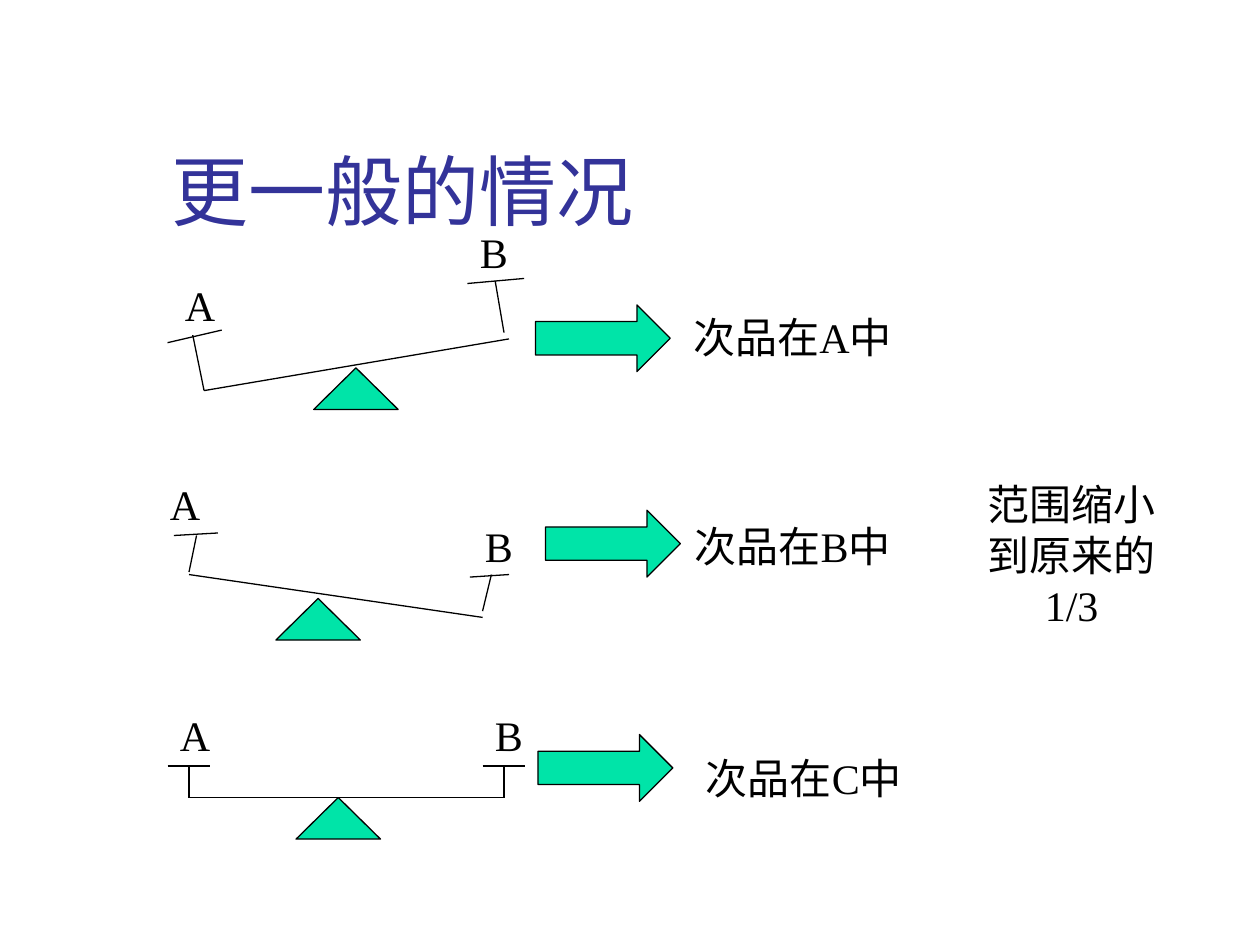
"""Build a slide of three balance outcomes, each pointing to its conclusion."""
from dataclasses import dataclass

from lxml import etree
from pptx import Presentation
from pptx.dml.color import RGBColor
from pptx.enum import shapes, text
from pptx.oxml.ns import qn
from pptx.util import Inches, Pt

COLORS = {"title": "333399", "ink": "000000", "fill": "00E4A8"}
BODY_FONT = {"name": "Times New Roman", "size": Pt(24)}
TITLE_FONT = {"name": "Cabin", "size": Pt(44), "bold": False}
Point = tuple[float, float]
Segment = tuple[Point, Point]


@dataclass(frozen=True)
class Balance:
    fulcrum: Point
    beam: Segment
    posts: tuple[Segment, Segment]
    pans: tuple[Segment, Segment]
    labels: tuple[Point, Point]
    arrow: Point
    conclusion: Point
    suspect: str


BALANCES = (
    Balance(
        fulcrum=(2.49, 2.92),
        beam=((1.62, 3.1), (4.04, 2.69)),
        posts=(((1.62, 3.1), (1.53, 2.66)), ((4, 2.64), (3.93, 2.23))),
        pans=(((1.33, 2.72), (1.76, 2.62)), ((3.71, 2.25), (4.16, 2.21))),
        labels=((1.37, 2.17), (3.71, 1.75)),
        arrow=(4.25, 2.42),
        conclusion=(5.08, 2.42),
        suspect="A",
    ),
    Balance(
        fulcrum=(2.19, 4.75),
        beam=((1.5, 4.56), (3.83, 4.9)),
        posts=(((1.5, 4.54), (1.56, 4.25)), ((3.83, 4.85), (3.9, 4.56))),
        pans=(((1.38, 4.25), (1.73, 4.23)), ((3.73, 4.58), (4.04, 4.56))),
        labels=((1.25, 3.75), (3.75, 4.08)),
        arrow=(4.33, 4.05),
        conclusion=(5.08, 4.08),
        suspect="B",
    ),
    Balance(
        fulcrum=(2.35, 6.33),
        beam=((1.5, 6.33), (4, 6.33)),
        posts=(((1.5, 6.33), (1.5, 6.08)), ((4, 6.33), (4, 6.08))),
        pans=(((1.33, 6.08), (1.67, 6.08)), ((3.83, 6.08), (4.17, 6.08))),
        labels=((1.33, 5.58), (3.83, 5.58)),
        arrow=(4.27, 5.83),
        conclusion=(5.17, 5.92),
        suspect="C",
    ),
)


def color(name: str) -> RGBColor:
    return RGBColor.from_string(COLORS[name])


def format_font(font, values: dict, color_name: str) -> None:
    for attribute, value in values.items():
        setattr(font, attribute, value)
    font.color.rgb = color(color_name)


def outline(line) -> None:
    line.color.rgb = color("ink")
    line.width = Pt(0.75)


def add_filled_shape(container, kind, position: Point, size: Point) -> None:
    shape = container.add_shape(kind, *map(Inches, position + size))
    shape.shadow.inherit = False
    shape.fill.solid()
    shape.fill.fore_color.rgb = color("fill")
    outline(shape.line)


def add_line(container, segment: Segment) -> None:
    start, end = segment
    connector = container.add_connector(
        shapes.MSO_CONNECTOR.STRAIGHT, *map(Inches, start + end)
    )
    outline(connector.line)
    etree.SubElement(connector._element.spPr, qn("a:effectLst"))


def add_text(container, words: str, position: Point, size: Point,
             alignment=text.PP_ALIGN.CENTER) -> None:
    frame = container.add_textbox(*map(Inches, position + size)).text_frame
    frame.word_wrap = True
    frame.auto_size = text.MSO_AUTO_SIZE.SHAPE_TO_FIT_TEXT
    paragraph = frame.paragraphs[0]
    paragraph.text = words
    paragraph.alignment = alignment
    format_font(paragraph.runs[0].font, BODY_FONT, "ink")


def add_balance(slide, balance: Balance) -> None:
    scale = slide.shapes.add_group_shape().shapes
    add_filled_shape(scale, shapes.MSO_SHAPE.ISOSCELES_TRIANGLE,
                     balance.fulcrum, (0.67, 0.33))
    for segment in (balance.beam, *balance.posts, *balance.pans):
        add_line(scale, segment)
    for letter, position, width in zip("AB", balance.labels, (1.33, 1.42)):
        add_text(scale, letter, position, (width, 0.5), text.PP_ALIGN.LEFT)
    add_text(slide.shapes, f"次品在{balance.suspect}中",
             balance.conclusion, (2.42, 0.5))
    add_filled_shape(slide.shapes, shapes.MSO_SHAPE.RIGHT_ARROW,
                     balance.arrow, (1.07, 0.53))


def add_title(slide, words: str) -> None:
    title = slide.shapes.title
    title.left, title.top, title.width, title.height = map(
        Inches, (1.26, 0.67, 8.52, 1.25)
    )
    frame = title.text_frame
    frame.text = words
    frame.auto_size = text.MSO_AUTO_SIZE.NONE
    frame.vertical_anchor = text.MSO_ANCHOR.BOTTOM
    paragraph = frame.paragraphs[0]
    paragraph.alignment = text.PP_ALIGN.LEFT
    format_font(paragraph.runs[0].font, TITLE_FONT, "title")


def main() -> None:
    presentation = Presentation()
    presentation.slide_width = Inches(10)
    presentation.slide_height = Inches(7.5)
    slide = presentation.slides.add_slide(presentation.slide_layouts[5])
    add_title(slide, "更一般的情况")
    for balance in BALANCES:
        add_balance(slide, balance)
    add_text(slide.shapes, "范围缩小到原来的1/3", (7.67, 3.75), (1.67, 1.3))
    presentation.save("out.pptx")


if __name__ == "__main__":
    main()
